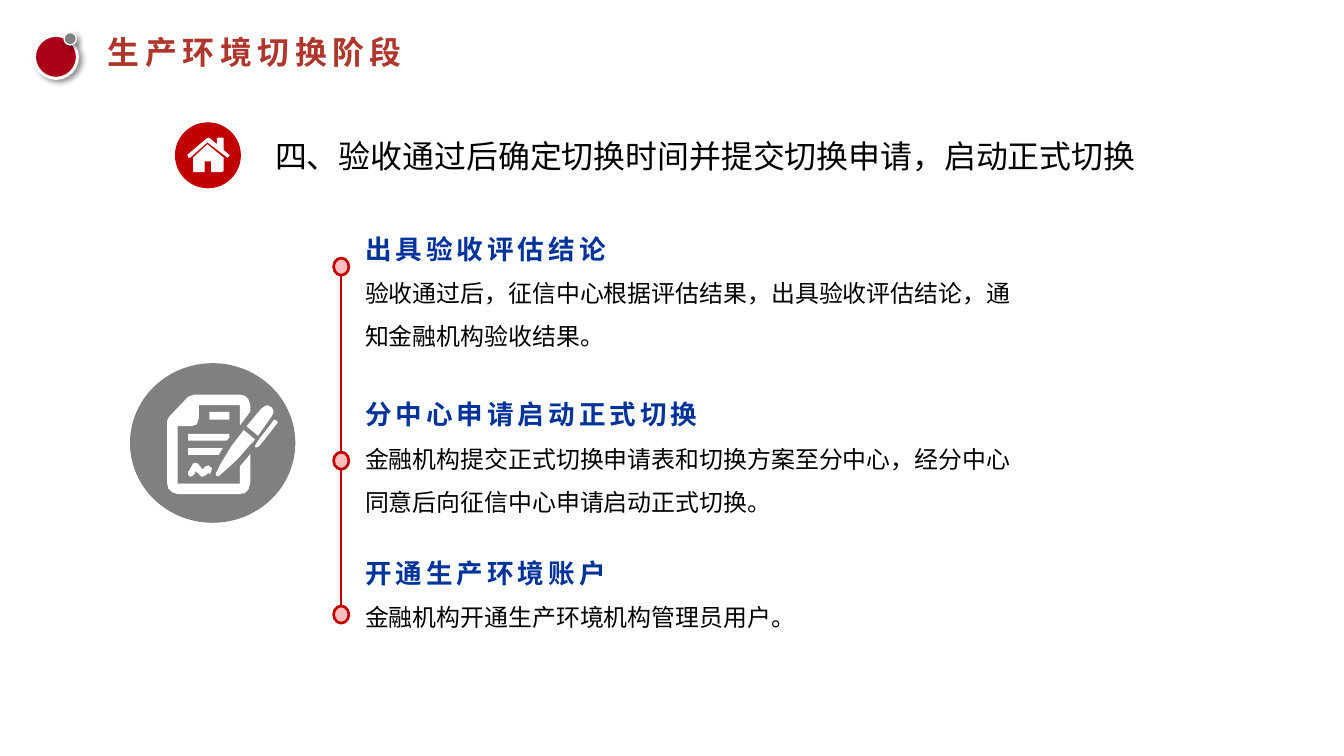
from lxml.etree import SubElement
from pptx import Presentation
from pptx.dml.color import RGBColor
from pptx.enum.shapes import MSO_CONNECTOR, MSO_SHAPE
from pptx.enum.text import PP_ALIGN
from pptx.oxml.ns import qn
from pptx.util import Inches, Pt

RED, GREY, WHITE = "C00000", "808080", "FFFFFF"
PINK, BLUE, BLACK = "FFBFBF", "003399", "000000"

# Icon outlines, in hundredths of an inch on the page
HOUSE = [
    [(238, 165), (217, 149), (199, 165), (197, 165), (196, 162), (216, 145),
     (218, 144), (220, 145), (227, 151), (227, 145), (228, 144), (233, 144),
     (234, 145), (234, 157), (240, 162), (240, 163)],
    [(234, 179), (232, 180), (221, 180), (221, 169), (214, 169), (214, 180),
     (203, 180), (202, 179), (202, 165), (217, 151), (234, 165)],
]
SIGNED_FORM = [
    # Signature
    [(202, 485), (204, 484), (207, 485), (212, 491), (215, 488), (218, 487),
     (222, 490), (220, 496), (218, 495), (214, 498), (211, 499), (205, 493),
     (203, 497), (199, 499), (197, 497), (197, 494)],
    # Lines of writing
    [(197, 469), (233, 469), (229, 476), (197, 476)],
    [(197, 454), (240, 454), (240, 458), (237, 461), (197, 461)],
    [(219, 431), (240, 431), (240, 439), (219, 439)],
    # Pen nib, clip and barrel
    [(255, 450), (267, 460), (262, 465), (249, 480), (236, 492), (229, 498),
     (226, 498), (226, 495), (231, 485), (242, 467)],
    [(288, 439), (291, 442), (290, 443), (276, 461), (271, 467), (269, 468),
     (267, 468), (267, 466), (270, 461), (284, 443), (286, 440)],
    [(280, 424), (284, 426), (286, 429), (286, 432), (284, 436), (270, 456),
     (258, 446), (273, 428), (277, 425)],
    # Sheet with a folded corner
    [(203, 413), (251, 413), (256, 414), (260, 418), (262, 424), (262, 430),
     (261, 432), (252, 444), (251, 445), (251, 424), (208, 424), (208, 438),
     (206, 444), (200, 446), (186, 446), (186, 506), (251, 506), (251, 488),
     (262, 475), (262, 505), (260, 512), (256, 516), (250, 517), (186, 517),
     (180, 515), (176, 511), (175, 506), (175, 440), (177, 436), (197, 415)],
]

# Top of the text, its height, top of the dot, heading, body
STEPS = [
    (2.22, 1.51, 2.7, "出具验收评估结论",
     "验收通过后，征信中心根据评估结果，出具验收评估结论，通知金融机构验收结果。"),
    (3.95, 1.51, 4.73, "分中心申请启动正式切换",
     "金融机构提交正式切换申请表和切换方案至分中心，经分中心同意后向征信中心申请启动正式切换。"),
    (5.61, 1.01, 6.34, "开通生产环境账户",
     "金融机构开通生产环境机构管理员用户。"),
]


def color(value):
    return RGBColor.from_string(value)


def add_circle(page, left, top, width, height, fill, line=None, line_width=1):
    circle = page.shapes.add_shape(
        MSO_SHAPE.OVAL, Inches(left), Inches(top), Inches(width), Inches(height))
    circle.shadow.inherit = False
    circle.fill.solid()
    circle.fill.fore_color.rgb = color(fill)
    if line:
        circle.line.color.rgb = color(line)
        circle.line.width = Pt(line_width)
    else:
        circle.line.fill.background()
    return circle


def add_shadow(shape):
    effects = shape._element.spPr.find(qn("a:effectLst"))
    shadow = SubElement(effects, qn("a:outerShdw"), blurRad=str(Pt(4)),
                        dist=str(Pt(3)), dir=str(45 * 60000), rotWithShape="0")
    tint = SubElement(shadow, qn("a:srgbClr"), val=BLACK)
    SubElement(tint, qn("a:alpha"), val="40000")


def add_icon(page, outlines):
    builder = None
    for first, *others in outlines:
        if builder is None:
            builder = page.shapes.build_freeform(*first, scale=Inches(0.01))
        else:
            builder.move_to(*first)
        builder.add_line_segments(others, close=True)
    icon = builder.convert_to_shape()
    icon.shadow.inherit = False
    icon.fill.solid()
    icon.fill.fore_color.rgb = color(WHITE)
    icon.line.fill.background()


def add_text_box(page, left, top, width, height):
    box = page.shapes.add_textbox(
        Inches(left), Inches(top), Inches(width), Inches(height))
    box.text_frame.word_wrap = True
    return box.text_frame


def write(para, text, font, size, fill, bold=False, tracking=0):
    """Fill a paragraph; tracking is the letter spacing in points."""
    para.text = text
    span = para.runs[0]
    span.font.name = font
    span.font.size = Pt(size)
    span.font.bold = bold
    span.font.color.rgb = color(fill)
    properties = span.font._element
    SubElement(properties, qn("a:ea"), typeface=font)
    if tracking:
        properties.set("spc", str(round(tracking * 100)))


def add_title(page):
    add_shadow(add_circle(page, 0.36, 0.37, 0.45, 0.45, "AB0019", WHITE, 2.25))
    add_shadow(add_circle(page, 0.67, 0.34, 0.13, 0.13, GREY, WHITE, 1))
    frame = add_text_box(page, 1.13, 0.34, 7.64, 0.4)
    frame.margin_left = frame.margin_right = 0
    frame.margin_top = frame.margin_bottom = 0
    write(frame.paragraphs[0], "生产环境切换阶段", "Noto Sans CJK SC", 24,
          "AF362C", bold=True, tracking=4.2)


def add_subtitle(page):
    add_circle(page, 1.83, 1.28, 0.69, 0.69, RED)
    add_icon(page, HOUSE)
    para = add_text_box(page, 2.78, 1.3, 9.37, 0.66).paragraphs[0]
    para.alignment = PP_ALIGN.JUSTIFY
    para.line_spacing = 1.2
    write(para, "四、验收通过后确定切换时间并提交切换申请，启动正式切换",
          "Calibri", 24, BLACK)


def add_timeline(page):
    line = page.shapes.add_connector(
        MSO_CONNECTOR.STRAIGHT, Inches(3.57), Inches(2.78), Inches(3.57), Inches(6.43))
    line.line.color.rgb = color(RED)
    line.line.width = Pt(1.5)
    SubElement(line._element.spPr, qn("a:effectLst"))
    for top, height, dot_top, heading, body in STEPS:
        add_circle(page, 3.49, dot_top, 0.16, 0.18, PINK, RED, 2)
        frame = add_text_box(page, 3.72, top, 7.05, height)
        heading_para, body_para = frame.paragraphs[0], frame.add_paragraph()
        heading_para.line_spacing = body_para.line_spacing = 1.5
        write(heading_para, heading, "DejaVu Sans", 20, BLUE, bold=True, tracking=3)
        write(body_para, body, "Calibri", 18, BLACK)


def main():
    deck = Presentation()
    deck.slide_width, deck.slide_height = Inches(14.06), Inches(7.91)
    page = deck.slides.add_slide(deck.slide_layouts[6])
    add_title(page)
    add_subtitle(page)
    add_timeline(page)
    add_circle(page, 1.36, 3.8, 1.73, 1.67, GREY)
    add_icon(page, SIGNED_FORM)
    deck.save("out.pptx")


if __name__ == "__main__":
    main()
